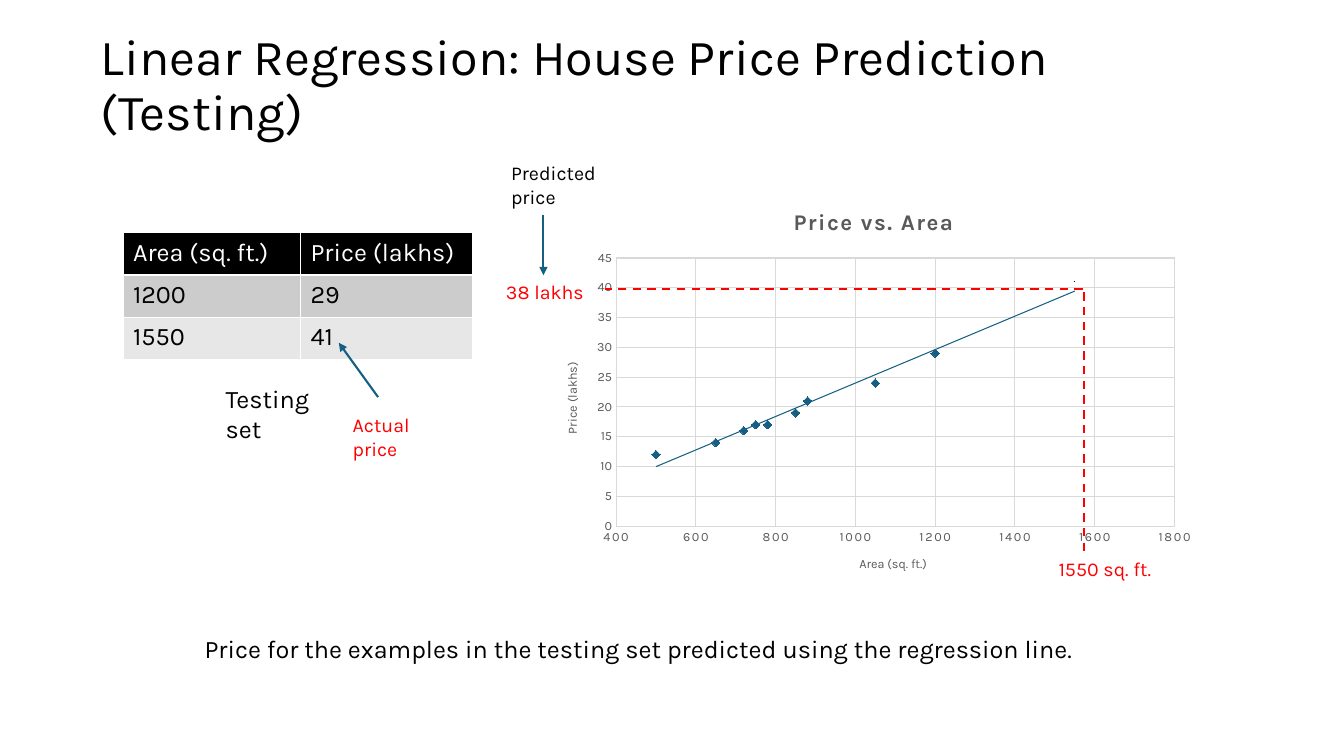
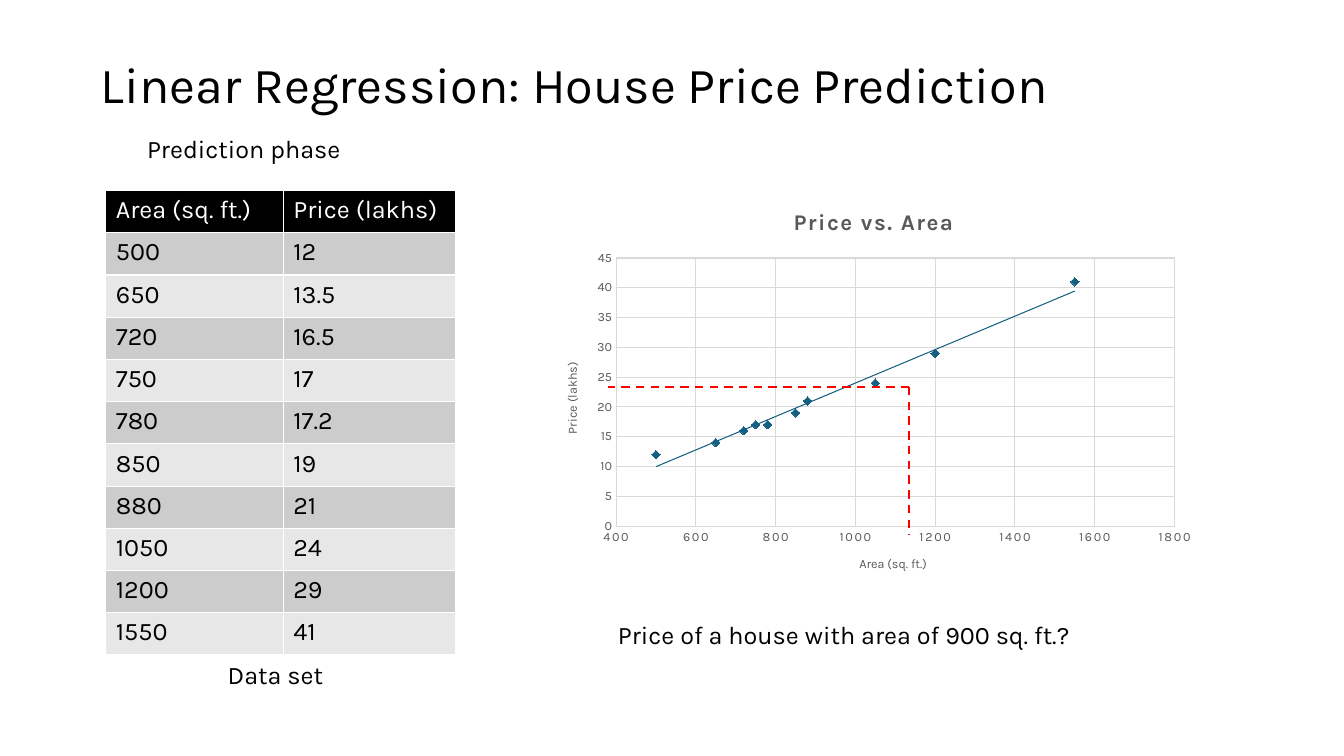
from lxml import etree
from pptx import Presentation, util as u
from pptx.chart import data
from pptx.dml.color import RGBColor
from pptx.enum import chart as ch, dml, shapes, text
from pptx.oxml import parse_xml
from pptx.oxml.ns import nsdecls, qn

COLORS = {
    "ink": "000000", "paper": "FFFFFF", "accent": "156082", "alert": "FF0000",
    "grid": "D9D9D9", "label": "595959", "odd": "CCCCCC", "even": "E7E7E7",
}
FONT = "Karla"
HEADER = ("Area (sq. ft.)", "Price (lakhs)")
HOUSES = [(500, 12), (650, 13.5), (720, 16.5), (750, 17), (780, 17.2),
          (850, 19), (880, 21), (1050, 24), (1200, 29), (1550, 41)]
CHART_BOX = (5.39, 1.89, 6.55, 3.98)


def rgb(name):
    return RGBColor.from_string(COLORS[name])


def style_font(font, size, color, bold=False, spacing=0):
    font.name, font.size, font.bold = FONT, u.Pt(size), bold
    font.color.rgb = rgb(color)
    if spacing:
        font._element.set("spc", str(spacing))


def put_text(tf, content, size=18, color="ink", line_spacing=None, **fmt):
    """Write one formatted paragraph into a text frame."""
    p = tf.paragraphs[0]
    if line_spacing:
        p.line_spacing = line_spacing
    r = p.add_run()
    r.text = content
    style_font(r.font, size, color, **fmt)


def style_line(line, color, width):
    line.color.rgb = rgb(color)
    line.width = u.Pt(width)


def place(parent, before, x, y, w=None, h=None):
    """Place a chart part at slide inches; a size means the inner plot."""
    left, top, width, height = CHART_BOX
    parts = [("xMode", "edge"), ("yMode", "edge"),
             ("x", (x - left) / width), ("y", (y - top) / height)]
    if w:
        parts = [("layoutTarget", "inner"), *parts, ("w", w / width), ("h", h / height)]
    body = "".join(f'<c:{tag} val="{val}"/>' for tag, val in parts)
    for old in parent.findall(qn("c:layout")):
        parent.remove(old)
    parent.find(qn(before)).addprevious(parse_xml(
        f'<c:layout {nsdecls("c")}><c:manualLayout>{body}</c:manualLayout></c:layout>'))


class Deck:
    def __init__(self):
        self.prs = Presentation()
        self.prs.slide_width = u.Inches(13.33)
        self.prs.slide_height = u.Inches(7.5)
        self.s = None

    def slide(self, title):
        self.s = self.prs.slides.add_slide(self.prs.slide_layouts[6])
        self.s.background.fill.solid()
        self.s.background.fill.fore_color.rgb = rgb("paper")
        self.text(title, 0.9, 0.4, 11.52, 0.92, size=36, line_spacing=0.9,
                  anchor=text.MSO_ANCHOR.MIDDLE)

    def text(self, content, x, y, w, h=0.4, anchor=text.MSO_ANCHOR.TOP, **fmt):
        sp = self.s.shapes.add_textbox(*map(u.Inches, (x, y, w, h)))
        tf = sp.text_frame
        tf.word_wrap = True
        tf.vertical_anchor = anchor
        put_text(tf, content, **fmt)

    def line(self, start, end, color="alert", dashed=True, arrow=False):
        sp = self.s.shapes.add_connector(
            shapes.MSO_CONNECTOR.STRAIGHT, *map(u.Inches, (*start, *end)))
        style_line(sp.line, color, 1.5)
        if dashed:
            sp.line.dash_style = dml.MSO_LINE.DASH
        sppr = sp._element.spPr
        if arrow:
            etree.SubElement(sppr.find(qn("a:ln")), qn("a:tailEnd"), type="triangle")
        etree.SubElement(sppr, qn("a:effectLst"))

    def arrow(self, start, end):
        self.line(start, end, color="accent", dashed=False, arrow=True)

    def table(self, houses, x, y, row_height=4.61 / 11, widths=(1.76, 1.71)):
        rows = [HEADER, *houses]
        table = self.s.shapes.add_table(
            len(rows), len(widths), u.Inches(x), u.Inches(y),
            u.Inches(sum(widths)), u.Inches(row_height * len(rows))).table
        for column, width in zip(table.columns, widths):
            column.width = u.Inches(width)
        for i, row in enumerate(rows):
            table.rows[i].height = u.Inches(row_height)
            fill = "ink" if i == 0 else "odd" if i % 2 else "even"
            for j, value in enumerate(row):
                cell = table.cell(i, j)
                self.cell_borders(cell)
                cell.fill.solid()
                cell.fill.fore_color.rgb = rgb(fill)
                put_text(cell.text_frame, str(value), color="ink" if i else "paper")

    @staticmethod
    def cell_borders(cell):
        tcpr = cell._tc.get_or_add_tcPr()
        for side in "LRTB":
            tcpr.append(parse_xml(
                f'<a:ln{side} {nsdecls("a")} w="{u.Pt(1)}"><a:solidFill>'
                f'<a:srgbClr val="{COLORS["paper"]}"/></a:solidFill></a:ln{side}>'))

    def chart(self, hide_last=False):
        xy = data.XyChartData()
        points = xy.add_series("Series 1")
        for area, price in HOUSES:
            points.add_data_point(area, round(price))
        chart = self.s.shapes.add_chart(
            ch.XL_CHART_TYPE.XY_SCATTER, *map(u.Inches, CHART_BOX), xy).chart
        style_font(chart.font, 10, "ink")
        chart.has_legend = False
        chart.plots[0].vary_by_categories = False

        # Titles and plot area
        chart.has_title = True
        put_text(chart.chart_title.text_frame, "Price vs. Area", size=16,
                 color="label", bold=True, spacing=120)
        chart.chart_title.include_in_layout = False
        place(chart.chart_title._element, "c:overlay", 7.83, 2.02)
        place(chart._chartSpace.chart.plotArea, "c:scatterChart", 6.11, 2.56, 5.54, 2.66)
        self.axis(chart.category_axis, HEADER[0], 400, 1800, 200, (8.5, 5.49), spacing=120)
        self.axis(chart.value_axis, HEADER[1], 0, 45, 5, (5.57, 3.57), rotation=-90)

        # Markers and regression line
        series = chart.plots[0].series[0]
        series.format.line.fill.background()
        series.marker.style = ch.XL_MARKER_STYLE.DIAMOND
        series.marker.size = 6
        series.marker.format.fill.solid()
        series.marker.format.fill.fore_color.rgb = rgb("accent")
        style_line(series.marker.format.line, "accent", 0.75)
        series._element.find(qn("c:xVal")).addprevious(parse_xml(
            f'<c:trendline {nsdecls("c", "a")}><c:spPr><a:ln w="{u.Pt(0.75)}">'
            f'<a:solidFill><a:srgbClr val="{COLORS["accent"]}"/></a:solidFill></a:ln>'
            '</c:spPr><c:trendlineType val="linear"/><c:dispRSqr val="0"/>'
            '<c:dispEq val="0"/></c:trendline>'))
        if hide_last:
            point = series.points[len(HOUSES) - 1]
            point.marker.style = ch.XL_MARKER_STYLE.NONE
            point.format.line.fill.background()

    @staticmethod
    def axis(axis, title, low, high, step, title_at, rotation=0, spacing=0):
        axis.minimum_scale, axis.maximum_scale, axis.major_unit = low, high, step
        axis.major_tick_mark = axis.minor_tick_mark = ch.XL_TICK_MARK.NONE
        axis.has_major_gridlines = True
        for line in (axis.format.line, axis.major_gridlines.format.line):
            style_line(line, "grid", 0.75)
        style_font(axis.tick_labels.font, 9, "label", spacing=spacing)
        tf = axis.axis_title.text_frame
        put_text(tf, title, size=9, color="label")
        tf._txBody.find(qn("a:bodyPr")).set("rot", str(rotation * 60000))
        place(axis.axis_title._element, "c:overlay", *title_at)


def testing_slide(deck):
    deck.slide("Linear Regression: House Price Prediction (Testing)")
    deck.chart(hide_last=True)
    deck.text("Price for the examples in the testing set predicted using "
              "the regression line.", 1.93, 6.23, 10.62)
    deck.text("Testing set", 2.14, 3.75, 1.42)
    deck.table(HOUSES[-2:], 1.22, 2.31)

    # Predicted and actual price
    deck.line((10.75, 2.9), (10.75, 5.51))
    deck.line((10.74, 2.87), (6, 2.87))
    for label, x, y, h, color in (
            ("1550 sq. ft.", 10.4, 5.48, 0.34, "alert"),
            ("38 lakhs", 4.92, 2.73, 0.34, "alert"),
            ("Predicted price", 4.97, 1.55, 0.57, "ink"),
            ("Actual price", 3.4, 4.05, 0.57, "alert")):
        deck.text(label, x, y, 1.15, h, size=14, color=color)
    deck.arrow((5.39, 2.13), (5.39, 2.73))
    deck.arrow((3.75, 3.94), (3.36, 3.4))


def prediction_slide(deck):
    deck.slide("Linear Regression: House Price Prediction")
    deck.table(HOUSES, 1.05, 1.89)
    deck.chart()

    # Reading the price off the regression line
    corner = (9.02, 3.84)
    deck.line(corner, (9.02, 5.31))
    deck.line(corner, (6.03, 3.84))
    deck.text("Price of a house with area of 900 sq. ft.?", 6.03, 6.09, 5.3)
    deck.text("Prediction phase", 1.36, 1.27, 2.15)
    deck.text("Data set", 2.16, 6.49, 1.47)


def main():
    deck = Deck()
    testing_slide(deck)
    prediction_slide(deck)
    deck.prs.save("out.pptx")


if __name__ == "__main__":
    main()
